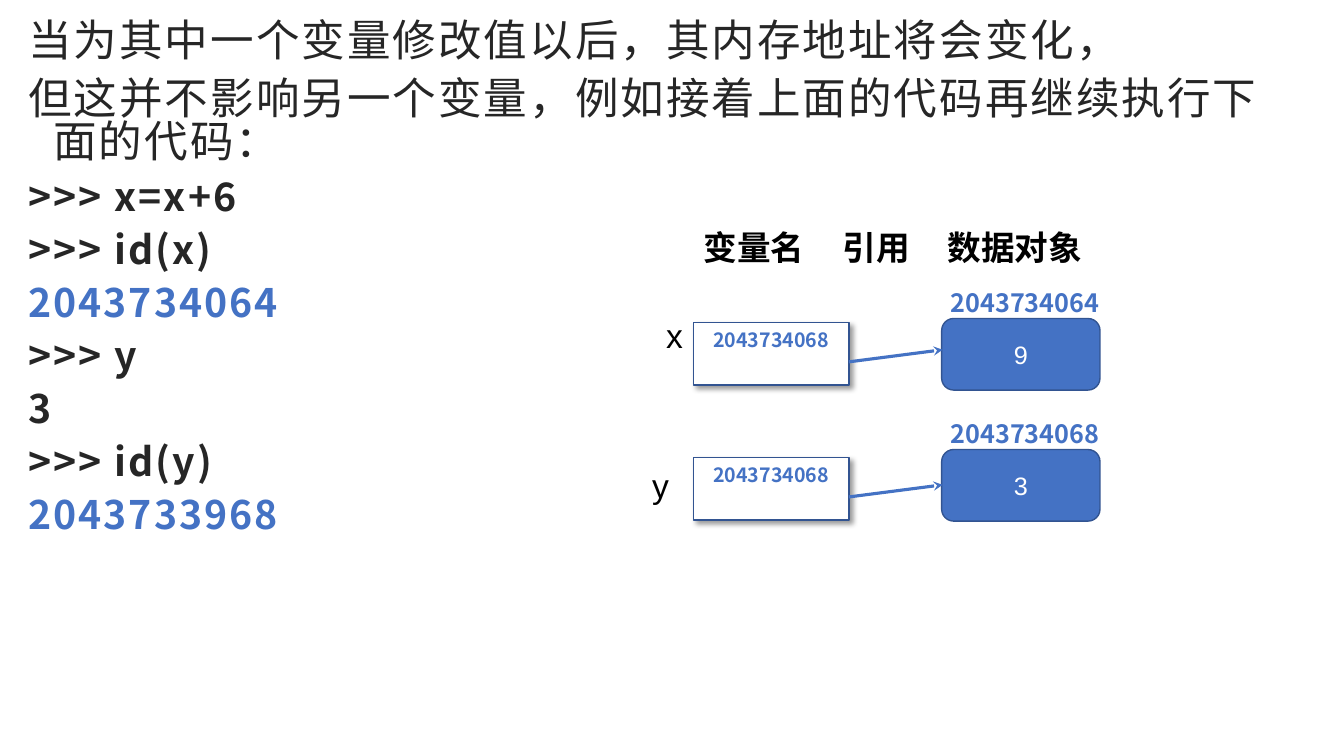
from dataclasses import dataclass
from lxml.etree import SubElement as Sub
from pptx import Presentation
from pptx.dml.color import RGBColor as RGB
from pptx.enum.shapes import MSO_CONNECTOR as LINK, MSO_SHAPE as SHAPE
from pptx.enum.text import MSO_ANCHOR as ANCHOR, MSO_AUTO_SIZE as FIT, PP_ALIGN as ALIGN
from pptx.oxml.ns import qn
from pptx.util import Inches, Pt


@dataclass(frozen=True)
class Theme:
    """Colours, fonts and type sizes of the slide."""
    ink: str = "262626"
    black: str = "000000"
    white: str = "FFFFFF"
    blue: str = "4472C4"
    edge: str = "325491"
    sans: str = "Arial"
    cjk: str = "Noto Sans CJK SC"
    lead: float = 31.1
    code: float = 28
    label: float = 24
    value: float = 18
    small: float = 14


T = Theme()


def add_run(para, text, size, color, face, bold=False, gap=0):
    """Add one formatted run to a paragraph."""
    run = para.add_run()
    run.text = text
    font = run.font
    font.size, font.bold, font.name = Pt(size), bold, face
    font.color.rgb = RGB.from_string(color)
    props = run._r.get_or_add_rPr()
    if gap:
        props.set("spc", str(round(gap * 100)))
    Sub(props, qn("a:ea")).set("typeface", T.cjk)


def add_body(slide, lines):
    """Fill the body placeholder with the explanation and the code."""
    title = slide.shapes.title.element
    title.getparent().remove(title)
    body = slide.placeholders[1]
    body.left, body.top = Inches(0.18), Inches(0.17)
    body.width, body.height = Inches(12.42), Inches(7.24)
    frame = body.text_frame
    frame.word_wrap, frame.auto_size = True, FIT.NONE
    for i, (text, size, color, bold) in enumerate(lines):
        para = frame.add_paragraph() if i else frame.paragraphs[0]
        props = para._p.get_or_add_pPr()
        props.set("marL", str(Inches(0.25)))
        props.set("indent", str(Inches(-0.25)))
        Sub(props, qn("a:buNone"))
        para.alignment = ALIGN.LEFT
        para.line_spacing = 0.83
        para.space_before, para.space_after = Pt(0), Pt(10)
        add_run(para, text, size, color, T.cjk, bold, 1.5)


def add_label(slide, at, text, size, color, face, bold=False, wrap=True, tabs=()):
    """Add a text box, with tab stops where columns are needed."""
    box = slide.shapes.add_textbox(*map(Inches, at))
    frame = box.text_frame
    frame.word_wrap, frame.auto_size = wrap, FIT.SHAPE_TO_FIT_TEXT
    para = frame.paragraphs[0]
    if tabs:
        stops = Sub(para._p.get_or_add_pPr(), qn("a:tabLst"))
        for pos in tabs:
            Sub(stops, qn("a:tab"), pos=str(Inches(pos)), algn="l")
    add_run(para, text, size, color, face, bold)


def add_box(slide, kind, at, fill, anchor, text, *style):
    """Add an outlined box with centred text."""
    box = slide.shapes.add_shape(kind, *map(Inches, at))
    box.fill.solid()
    box.fill.fore_color.rgb = RGB.from_string(fill)
    box.line.color.rgb = RGB.from_string(T.edge)
    box.line.width = Pt(1)
    box.shadow.inherit = False
    frame = box.text_frame
    frame.word_wrap, frame.vertical_anchor = True, anchor
    para = frame.paragraphs[0]
    para.alignment = ALIGN.CENTER
    add_run(para, text, *style)
    return box


def add_shade(box):
    """Give a box a soft shadow to the lower right."""
    list_ = box.element.spPr.find(qn("a:effectLst"))
    shade = Sub(list_, qn("a:outerShdw"), blurRad=str(Pt(4)), dist=str(Pt(3)),
                dir="2700000", algn="tl", rotWithShape="0")
    color = Sub(shade, qn("a:srgbClr"), val=T.black)
    Sub(color, qn("a:alpha"), val="40000")


def add_arrow(slide, start, end):
    """Add a blue arrow between two points."""
    line = slide.shapes.add_connector(LINK.STRAIGHT, *map(Inches, start + end))
    line.line.color.rgb = RGB.from_string(T.blue)
    line.line.width = Pt(2.25)
    props = line.element.spPr
    Sub(props.find(qn("a:ln")), qn("a:tailEnd"), type="stealth")
    Sub(props, qn("a:effectLst"))


def add_ref(slide, name, spot, top, link, peak, ident, value):
    """Draw a variable, its reference and the object it points to."""
    add_label(slide, spot, name, T.label, T.black, T.sans)
    cell = add_box(slide, SHAPE.RECTANGLE, (6.88, top, 1.54, 0.62), T.white,
                   ANCHOR.TOP, link, T.small, T.blue, T.cjk, True)
    add_shade(cell)
    add_box(slide, SHAPE.ROUNDED_RECTANGLE, (9.34, peak, 1.57, 0.71), T.blue,
            ANCHOR.MIDDLE, value, T.value, T.white, T.sans)
    add_label(slide, (9.33, peak - 0.36, 1.74, 0.4), ident,
              T.value, T.blue, T.cjk, True, False)
    add_arrow(slide, (8.42, top + 0.39), (9.35, top + 0.27))


def main():
    """Build the slide and save it."""
    deck = Presentation()
    deck.slide_width, deck.slide_height = Inches(13.33), Inches(7.5)
    slide = deck.slides.add_slide(deck.slide_layouts[1])
    lead = (T.lead, T.ink, False)
    code = (T.code, T.ink, True)
    ident = (T.code, T.blue, True)
    add_body(slide, [
        ("当为其中一个变量修改值以后，其内存地址将会变化，", *lead),
        ("但这并不影响另一个变量，例如接着上面的代码再继续执行下面的代码：", *lead),
        (">>> x=x+6", *code),
        (">>> id(x)", *code),
        ("2043734064", *ident),
        (">>> y", *code),
        ("3", *code),
        (">>> id(y)", *code),
        ("2043733968", *ident),
    ])
    add_label(slide, (6.88, 2.2, 5.12, 0.5), "变量名\t引用\t数据对象",
              T.label, T.black, T.sans, True, tabs=(1.38, 2.42))
    add_ref(slide, "x", (6.51, 3.08, 0.37, 0.5), 3.2, "2043734068",
            3.16, "2043734064", "9")
    add_ref(slide, "y", (6.37, 4.56, 0.45, 0.5), 4.54, "2043734068",
            4.46, "2043734068", "3")
    deck.save("out.pptx")


if __name__ == "__main__":
    main()
